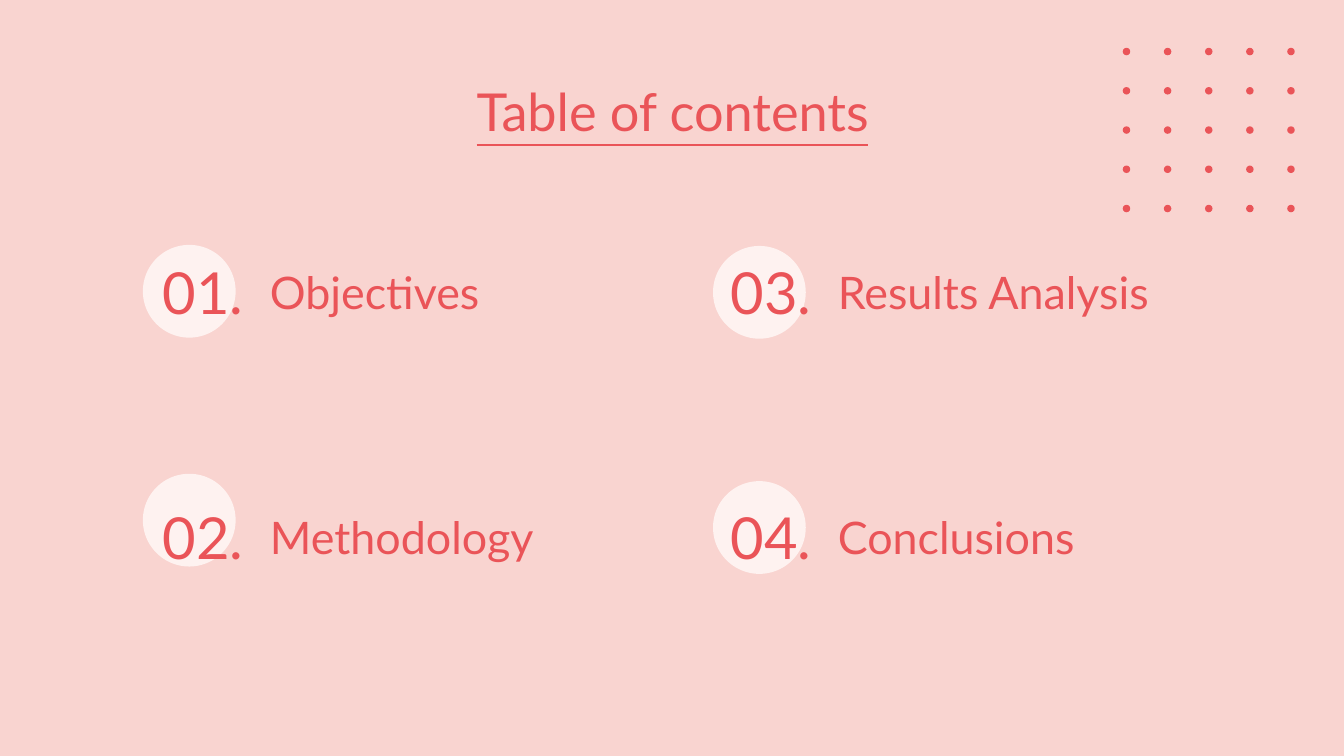
from dataclasses import dataclass
from itertools import product

from pptx import Presentation
from pptx.dml.color import RGBColor
from pptx.enum.shapes import MSO_SHAPE
from pptx.enum.text import MSO_ANCHOR, PP_ALIGN
from pptx.slide import Slide
from pptx.util import Emu, Inches, Pt

SLIDE_WIDTH = Inches(10)
SLIDE_HEIGHT = Emu(SLIDE_WIDTH * 9 // 16)
COLUMN = SLIDE_WIDTH / 100
ROW = SLIDE_HEIGHT / 56.25
COLORS = {"background": "F9D4D0", "accent": "EA5458", "badge": "FEF2F0"}
FONT = "Lato"


@dataclass(frozen=True)
class Area:
    column: float
    row: float
    columns: float
    rows: float

    def emu(self) -> tuple[Emu, Emu, Emu, Emu]:
        return (
            Emu(round(self.column * COLUMN)),
            Emu(round(self.row * ROW)),
            Emu(round(self.columns * COLUMN)),
            Emu(round(self.rows * ROW)),
        )


@dataclass(frozen=True)
class Section:
    number: str
    heading: str
    column: float
    row: float
    badge_column: float
    badge_row: float


SECTIONS = [
    Section("01.", "Objectives", 8.7, 18.9, 10.63, 18.22),
    Section("02.", "Methodology", 8.7, 37.1, 10.63, 35.25),
    Section("03.", "Results Analysis", 50.95, 18.9, 53.05, 18.3),
    Section("04.", "Conclusions", 50.95, 37.1, 53.05, 35.8),
]
NUMBER_COLUMNS = 10.4
HEADING_COLUMNS = 29.8
LINE_ROWS = 5.6
BADGE_SIZE = 6.9

DOTS_PER_SIDE = 5
DOT_SIZE = 0.56
FIRST_DOT_COLUMN, FIRST_DOT_ROW = 83.54, 3.56
DOT_COLUMN_STEP, DOT_ROW_STEP = 3.06, 2.92


def add_circle(slide: Slide, area: Area, color: str) -> None:
    circle = slide.shapes.add_shape(MSO_SHAPE.OVAL, *area.emu())
    circle.shadow.inherit = False
    circle.fill.solid()
    circle.fill.fore_color.rgb = RGBColor.from_string(COLORS[color])
    circle.line.fill.background()


def add_label(
    slide: Slide,
    area: Area,
    wording: str,
    size: float,
    align: PP_ALIGN = PP_ALIGN.LEFT,
    anchor: MSO_ANCHOR = MSO_ANCHOR.MIDDLE,
    underline: bool = False,
) -> None:
    frame = slide.shapes.add_textbox(*area.emu()).text_frame
    frame.word_wrap = True
    frame.vertical_anchor = anchor
    frame.margin_left = frame.margin_right = Inches(0.1)
    frame.margin_top = frame.margin_bottom = Inches(0.1)
    paragraph = frame.paragraphs[0]
    paragraph.alignment = align
    run = paragraph.add_run()
    run.text = wording
    run.font.name = FONT
    run.font.size = Pt(size)
    run.font.underline = underline
    run.font.color.rgb = RGBColor.from_string(COLORS["accent"])


def add_dot_grid(slide: Slide) -> None:
    for across, down in product(range(DOTS_PER_SIDE), repeat=2):
        column = FIRST_DOT_COLUMN + across * DOT_COLUMN_STEP
        row = FIRST_DOT_ROW + down * DOT_ROW_STEP
        add_circle(slide, Area(column, row, DOT_SIZE, DOT_SIZE), "accent")


def add_section(slide: Slide, section: Section) -> None:
    badge = Area(section.badge_column, section.badge_row, BADGE_SIZE, BADGE_SIZE)
    number = Area(section.column, section.row, NUMBER_COLUMNS, LINE_ROWS)
    heading = Area(section.column + NUMBER_COLUMNS, section.row, HEADING_COLUMNS, LINE_ROWS)
    add_circle(slide, badge, "badge")
    add_label(slide, heading, section.heading, 24)
    add_label(slide, number, section.number, 31, align=PP_ALIGN.RIGHT)


def main() -> None:
    presentation = Presentation()
    presentation.slide_width = SLIDE_WIDTH
    presentation.slide_height = SLIDE_HEIGHT
    slide = presentation.slides.add_slide(presentation.slide_layouts[6])
    slide.background.fill.solid()
    slide.background.fill.fore_color.rgb = RGBColor.from_string(COLORS["background"])

    add_dot_grid(slide)
    for section in SECTIONS:
        add_section(slide, section)
    add_label(
        slide,
        Area(7.9, 4.9, 84.3, 6.3),
        "Table of contents",
        28,
        align=PP_ALIGN.CENTER,
        anchor=MSO_ANCHOR.TOP,
        underline=True,
    )
    presentation.save("out.pptx")


if __name__ == "__main__":
    main()
